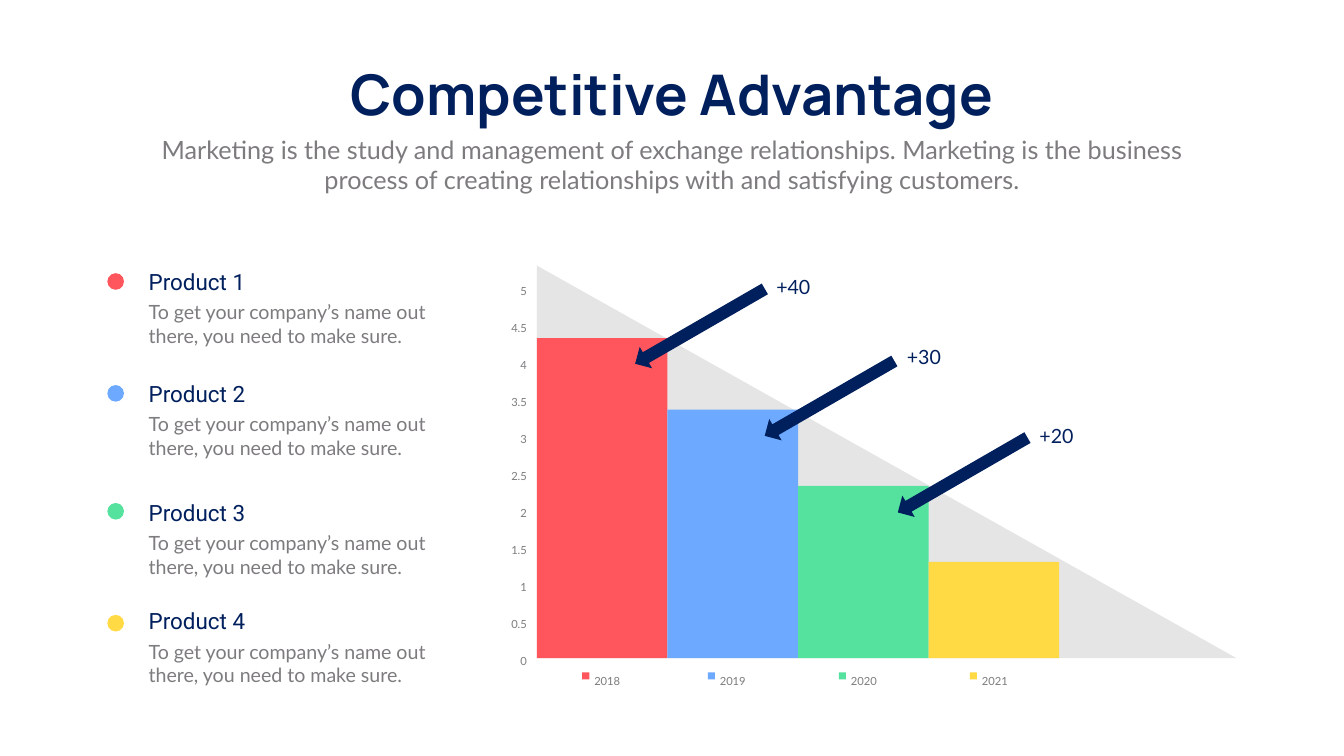
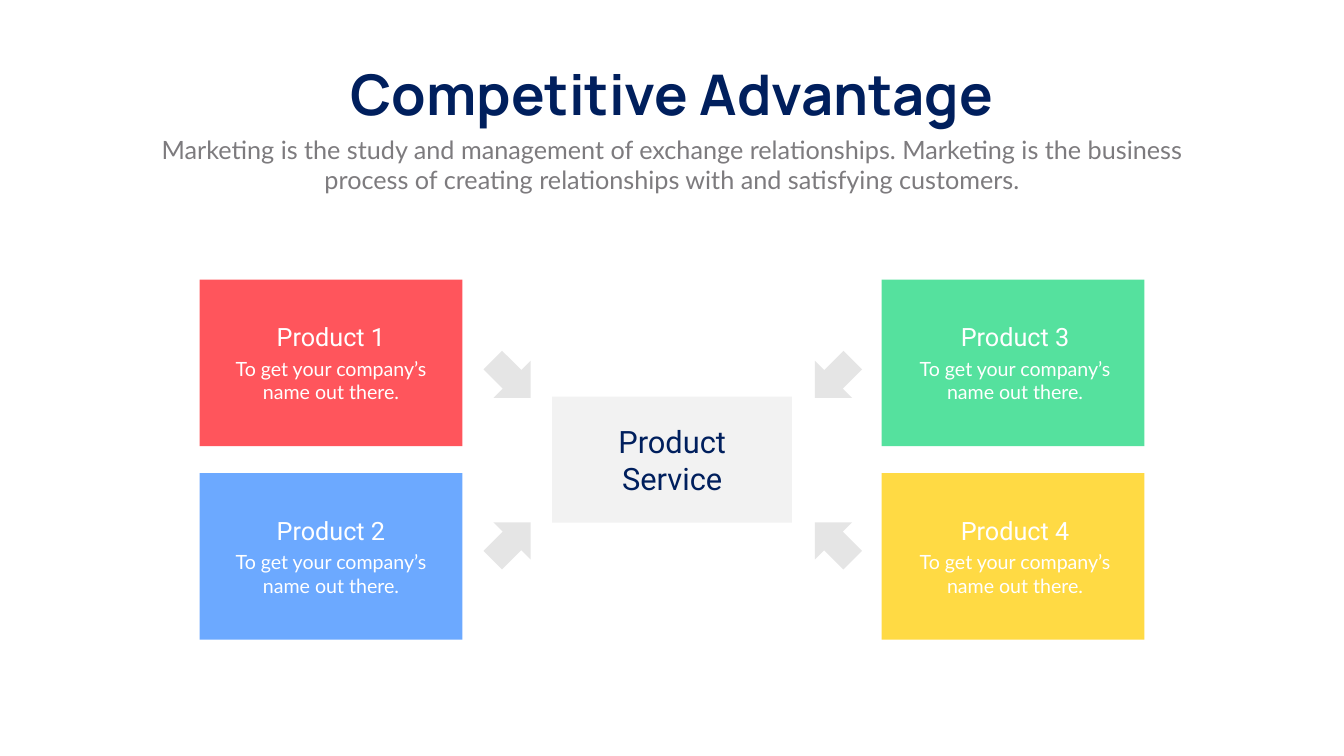
from dataclasses import dataclass
from pptx import Presentation
from pptx.dml.color import RGBColor
from pptx.enum.shapes import MSO_SHAPE
from pptx.enum.text import MSO_ANCHOR, MSO_AUTO_SIZE, PP_ALIGN
from pptx.util import Inches, Pt


@dataclass(frozen=True)
class Theme:
    navy: str = "001F5D"
    grey: str = "7D7B7E"
    white: str = "FFFFFF"
    pale: str = "F2F2F2"
    silver: str = "E5E5E5"
    accents: tuple = ("FF555C", "6CA9FF", "55E19E", "FFDA44")
    title_font: str = "Manrope"
    heading_font: str = "Roboto"
    body_font: str = "Lato"
    title_size: int = 80
    center_size: int = 44
    intro_size: int = 36
    card_size: int = 36
    product_size: int = 32
    body_size: int = 28
    axis_size: int = 16
    axis_spacing: float = 40.8


THEME = Theme()
TITLE = "Competitive Advantage"
INTRO = (
    "Marketing is the study and management of exchange relationships. "
    "Marketing is the business process of creating relationships with "
    "and satisfying customers."
)
PRODUCT_NOTE = "To get your company’s name out there, you need to make sure."
CARD_NOTE = "To get your company’s name out there."


def place(item, left, top, width, height):
    item.left, item.top = Inches(left), Inches(top)
    item.width, item.height = Inches(width), Inches(height)


def write(box, text, font, size, color, align=PP_ALIGN.LEFT, bold=False):
    frame = box.text_frame
    frame.word_wrap = True
    frame.auto_size = MSO_AUTO_SIZE.NONE
    frame.text = text
    para = frame.paragraphs[0]
    para.alignment = align
    para.font.name = font
    para.font.size = Pt(size)
    para.font.bold = bold
    para.font.color.rgb = RGBColor.from_string(color)
    return para


def add_text(shapes, position, text, font, size, color, align=PP_ALIGN.LEFT):
    box = shapes.add_textbox(*map(Inches, position))
    return write(box, text, font, size, color, align)


def add_axis_text(shapes, left, top, text, align):
    para = add_text(shapes, (left, top, 1.16, 0.59), text,
                    THEME.body_font, THEME.axis_size, THEME.grey, align)
    para.line_spacing = Pt(THEME.axis_spacing)


def paint(shape, color):
    shape.shadow.inherit = False
    shape.fill.solid()
    shape.fill.fore_color.rgb = RGBColor.from_string(color)
    shape.line.fill.background()


def add_block(shapes, kind, position, color, rotation=0):
    shape = shapes.add_shape(kind, *map(Inches, position))
    shape.rotation = rotation
    paint(shape, color)


def add_page(deck):
    page = deck.slides.add_slide(deck.slide_layouts[1])
    title, intro = page.placeholders
    place(title, 6.28, 1.12, 14.1, 1.45)
    write(title, TITLE, THEME.title_font, THEME.title_size, THEME.navy,
          PP_ALIGN.CENTER, bold=True)
    title.text_frame.word_wrap = False
    title.text_frame.vertical_anchor = MSO_ANCHOR.MIDDLE

    place(intro, 2.92, 2.61, 20.82, 1.31)
    intro.text_frame.text = INTRO
    properties = intro.text_frame.paragraphs[0]._p.get_or_add_pPr()
    properties.set("marL", "0")
    properties.set("indent", "0")
    properties.append(properties.makeelement(
        "{http://schemas.openxmlformats.org/drawingml/2006/main}buNone", {}))
    para = intro.text_frame.paragraphs[0]
    para.alignment = PP_ALIGN.CENTER
    para.space_before = Pt(0)
    para.font.name = THEME.body_font
    para.font.size = Pt(THEME.intro_size)
    para.font.color.rgb = RGBColor.from_string(THEME.grey)
    intro.text_frame.auto_size = MSO_AUTO_SIZE.NONE
    return page


def add_product(shapes, number, top, dot_top, color):
    add_text(shapes, (2.85, top, 4.99, 0.64), f"Product {number}",
             THEME.heading_font, THEME.product_size, THEME.navy)
    add_text(shapes, (2.85, top + 0.64, 6.24, 1.04), PRODUCT_NOTE,
             THEME.body_font, THEME.body_size, THEME.grey)
    add_block(shapes, MSO_SHAPE.OVAL, (2.13, dot_top, 0.33, 0.33), color)


def add_triangle(shapes, left, top, right, bottom):
    builder = shapes.build_freeform(Inches(left), Inches(bottom))
    builder.add_line_segments([
        (Inches(left), Inches(top)),
        (Inches(right), Inches(bottom)),
    ])
    paint(builder.convert_to_shape(), THEME.silver)


def add_legend(shapes, left, year, color):
    group = shapes.add_group_shape()
    add_block(group.shapes, MSO_SHAPE.RECTANGLE,
              (left, 13.34, 0.14, 0.14), color)
    add_axis_text(group.shapes, left + 0.14, 13.02, year, PP_ALIGN.LEFT)


def add_growth(shapes, text, label_left, label_top, arrow_left, arrow_top):
    add_text(shapes, (label_left, label_top, 1.2, 0.57), text,
             THEME.body_font, THEME.body_size, THEME.navy)
    add_block(shapes, MSO_SHAPE.RIGHT_ARROW,
              (arrow_left, arrow_top, 2.97, 0.49), THEME.navy, 150)


def build_growth_page(deck):
    shapes = add_page(deck).shapes
    chart_left, baseline, bar_width = 10.65, 13.06, 2.59
    add_triangle(shapes, chart_left, 5.27, 24.53, baseline)

    product_tops = (5.27, 7.49, 9.85, 12)
    dot_tops = (5.42, 7.64, 9.98, 12.2)
    bar_tops = (6.71, 8.13, 9.64, 11.15)
    legend_lefts = (11.55, 14.04, 16.64, 19.24)
    for index, color in enumerate(THEME.accents):
        add_product(shapes, index + 1, product_tops[index],
                    dot_tops[index], color)
        add_block(shapes, MSO_SHAPE.RECTANGLE,
                  (chart_left + index * bar_width, bar_tops[index],
                   bar_width, baseline - bar_tops[index]), color)
        add_legend(shapes, legend_lefts[index], str(2018 + index), color)

    axis_top, axis_bottom, steps = 5.3, 12.64, 10
    for step in range(steps + 1):
        top = axis_top + step * (axis_bottom - axis_top) / steps
        add_axis_text(shapes, 9.39, top, f"{5 - step / 2:g}", PP_ALIGN.RIGHT)

    for growth in (
        ("+40", 15.3, 5.41, 12.4, 6.23),
        ("+30", 17.89, 6.79, 14.97, 7.66),
        ("+20", 20.52, 8.36, 17.61, 9.18),
    ):
        add_growth(shapes, *growth)


def add_card(shapes, number, left, top, text_left, color):
    add_block(shapes, MSO_SHAPE.RECTANGLE, (left, top, 5.21, 3.3), color)
    add_text(shapes, (text_left + 0.65, top + 0.78, 2.95, 0.71),
             f"Product {number}", THEME.heading_font, THEME.card_size,
             THEME.white, PP_ALIGN.CENTER)
    add_text(shapes, (text_left, top + 1.48, 4.25, 1.04), CARD_NOTE,
             THEME.body_font, THEME.body_size, THEME.white, PP_ALIGN.CENTER)


def build_service_page(deck):
    shapes = add_page(deck).shapes
    add_block(shapes, MSO_SHAPE.RECTANGLE,
              (10.95, 7.87, 4.76, 2.5), THEME.pale)
    add_text(shapes, (11.89, 8.33, 2.89, 1.58), "Product Service",
             THEME.heading_font, THEME.center_size, THEME.navy,
             PP_ALIGN.CENTER)

    columns = ((3.96, 4.44, 9.62), (17.49, 18.01, 16.01))
    rows = ((5.55, 7), (9.39, 10.22))
    rotations = (45, 315, 135, 225)
    for index, color in enumerate(THEME.accents):
        column, row = divmod(index, 2)
        card_left, text_left, arrow_left = columns[column]
        card_top, arrow_top = rows[row]
        add_card(shapes, index + 1, card_left, card_top, text_left, color)
        add_block(shapes, MSO_SHAPE.RIGHT_ARROW,
                  (arrow_left, arrow_top, 1.06, 1.04),
                  THEME.silver, rotations[index])


def main():
    deck = Presentation()
    deck.slide_width, deck.slide_height = Inches(26.66), Inches(15)
    build_growth_page(deck)
    build_service_page(deck)
    deck.save("out.pptx")


if __name__ == "__main__":
    main()
